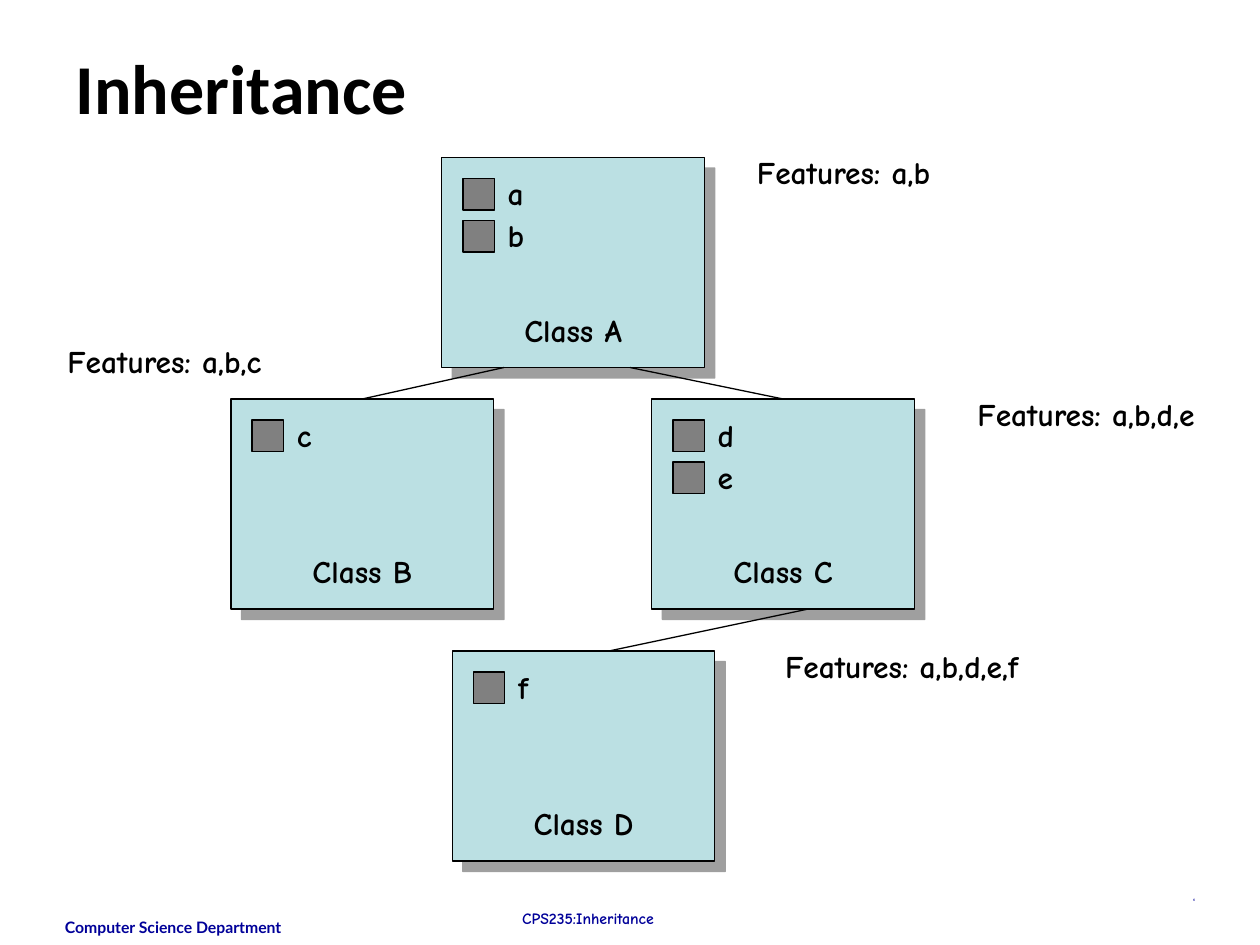
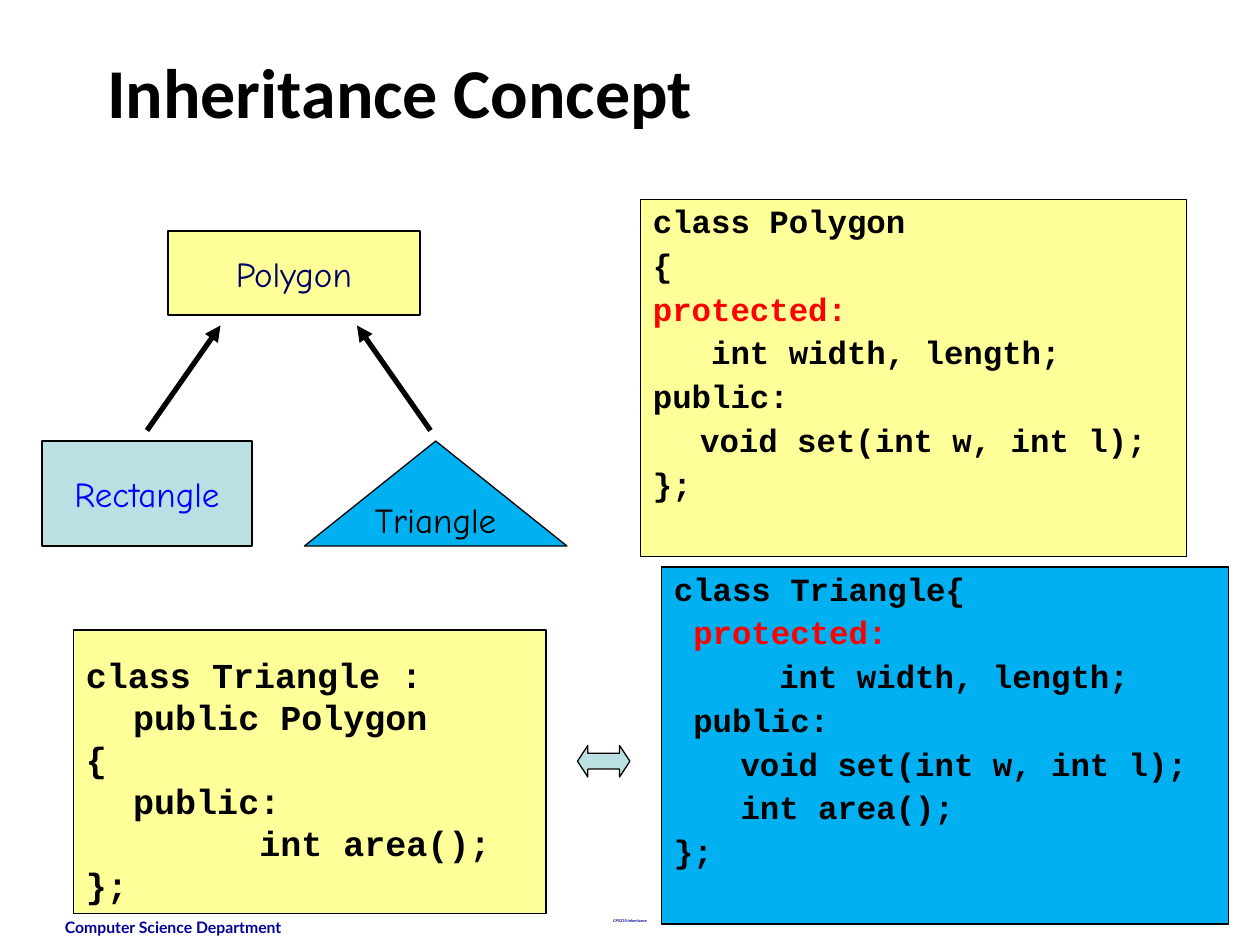
from lxml import etree
from pptx import Presentation
from pptx.dml.color import RGBColor
from pptx.enum import shapes, text
from pptx.oxml import ns
from pptx.util import Pt

# Shared colours and fonts
BLACK, RED, NAVY = "000000", "FF0000", "000099"
PALE_BLUE, SKY, YELLOW, GRAY = "BBE0E3", "00B0F0", "FFFF99", "808080"
HAND, CODE, HEADING, FOOTER = "Comic Neue", "Courier New", "Calibri", "Lato"
LEFT, CENTER, RIGHT = text.PP_ALIGN.LEFT, text.PP_ALIGN.CENTER, text.PP_ALIGN.RIGHT
RECT = shapes.MSO_SHAPE.RECTANGLE

# Class boxes: size and inner grid
BOX_W, BOX_H = 150, 120
PAD, SQUARE, STEP = 12, 18, 24


def rgb(value):
    return RGBColor.from_string(value)


def pts(*lengths):
    return [Pt(n) for n in lengths]


def sub(parent, tag, **attrs):
    return etree.SubElement(parent, ns.qn(tag), attrs)


def write(p, words, size=18, font=HAND, color=BLACK, bold=False, align=LEFT, spacing=None):
    """Put one formatted run into a paragraph."""
    p.alignment = align
    if spacing:
        p.line_spacing = spacing
    r = p.add_run()
    r.text = words
    r.font.size, r.font.name, r.font.bold = Pt(size), font, bold
    r.font.color.rgb = rgb(color)


def add_text(slide, words, x, y, w, h, wrap=True, **fmt):
    tf = slide.shapes.add_textbox(*pts(x, y, w, h)).text_frame
    tf.word_wrap = wrap
    write(tf.paragraphs[0], words, **fmt)


def add_label(slide, words, x, y, w, align=LEFT):
    add_text(slide, words, x, y, w, 29, wrap=False, bold=True, align=align)


def add_title(slide, words, x, y, w, h):
    title = slide.shapes.title
    title.left, title.top, title.width, title.height = pts(x, y, w, h)
    tf = title.text_frame
    tf.auto_size = text.MSO_AUTO_SIZE.NONE
    tf.vertical_anchor = text.MSO_ANCHOR.TOP
    write(tf.paragraphs[0], words, size=40, font=HEADING, bold=True)


def add_footer(slide, x, y, **fmt):
    add_text(slide, "Computer Science Department", 30, 521, 168, 19,
             size=9, font=FOOTER, color=NAVY, bold=True)
    add_text(slide, "CPS235:Inheritance", x, y, 228, 7.2,
             color=NAVY, bold=True, align=CENTER, **fmt)


def add_box(slide, kind, x, y, w, h, fill):
    sp = slide.shapes.add_shape(kind, *pts(x, y, w, h))
    sp.shadow.inherit = False
    sp.fill.solid()
    sp.fill.fore_color.rgb = rgb(fill)
    sp.line.color.rgb = rgb(BLACK)
    sp.line.width = Pt(0.75)
    return sp


def add_named_shape(slide, kind, name, x, y, w, h, fill, color):
    tf = add_box(slide, kind, x, y, w, h, fill).text_frame
    tf.word_wrap = False
    tf.vertical_anchor = text.MSO_ANCHOR.MIDDLE
    write(tf.paragraphs[0], name, size=20, color=color, align=CENTER)


def drop_shadow(sp):
    effects = sp._element.spPr.find(ns.qn("a:effectLst"))
    shadow = sub(effects, "a:outerShdw", dist=str(Pt(8.5)), dir="2700000",
                 algn="ctr", rotWithShape="0")
    color = sub(shadow, "a:srgbClr", val=GRAY)
    sub(color, "a:alpha", val="75000")


def add_line(slide, x1, y1, x2, y2, width=0.75, head=False):
    line = slide.shapes.add_connector(shapes.MSO_CONNECTOR.STRAIGHT, *pts(x1, y1, x2, y2))
    line.line.color.rgb = rgb(BLACK)
    line.line.width = Pt(width)
    if head:
        sub(line.line._get_or_add_ln(), "a:headEnd", type="triangle")
    sub(line._element.spPr, "a:effectLst")
    return line


def add_class(slide, name, features, x, y):
    """Shadowed class box with one marker per own feature."""
    sp = add_box(slide, RECT, x, y, BOX_W, BOX_H, PALE_BLUE)
    drop_shadow(sp)
    for i, feature in enumerate(features):
        top = y + PAD + i * STEP
        add_box(slide, RECT, x + PAD, top, SQUARE, SQUARE, GRAY)
        add_label(slide, feature, x + PAD + SQUARE + 0.5, top - 6, 24)
    add_label(slide, f"Class {name}", x + 15, y + 84, BOX_W - 30, align=CENTER)
    return sp


def add_code(slide, code, x, y, w, h, fill, size=18.5, spacing=0.9, before=5, top=3.6):
    tf = add_box(slide, RECT, x, y, w, h, fill).text_frame
    tf.word_wrap = True
    tf.vertical_anchor = text.MSO_ANCHOR.TOP
    tf.margin_top = Pt(top)
    for i, row in enumerate(code):
        p = tf.add_paragraph() if i else tf.paragraphs[0]
        pPr = p._p.get_or_add_pPr()
        pPr.set("marL", str(Pt(27)))
        pPr.set("indent", str(Pt(-27)))
        tabs = sub(pPr, "a:tabLst")
        for inch in range(8):
            sub(tabs, "a:tab", pos=str(Pt(72 * inch)), algn="l")
        if i:
            p.space_before = Pt(before)
        color = RED if row.strip() == "protected:" else BLACK
        write(p, row, size=size, font=CODE, color=color, bold=True, spacing=spacing)


def build_hierarchy(slide):
    add_footer(slide, 222, 516, size=9)
    add_text(slide, "6", 522, 510, 168, 7.2, size=2.2, color=NAVY, bold=True,
             align=RIGHT, spacing=0.8)
    add_title(slide, "Inheritance", 36, 21.6, 648, 90)

    # Classes with their own features
    add_class(slide, "A", "ab", 252.5, 90)
    class_b = add_class(slide, "B", "c", 132, 228)
    class_c = add_class(slide, "C", "de", 372.5, 228)
    add_class(slide, "D", "f", 258.5, 372)

    # All features, inherited ones included
    for features, x, y, w in [("a,b", 425.5, 84, 114), ("a,b,c", 31.5, 192, 127),
                              ("a,b,d,e", 551.5, 222, 139), ("a,b,d,e,f", 441.5, 366, 148)]:
        add_label(slide, f"Features: {features}", x, y, w)

    # Inheritance lines
    add_line(slide, 288, 210, 204, 228).end_connect(class_b, 0)
    add_line(slide, 360, 210, 444, 228).end_connect(class_c, 0)
    add_line(slide, 462, 348, 348, 372)


def build_concept(slide):
    add_footer(slide, 246, 522, size=2.2, font=FOOTER, spacing=0.8)
    add_title(slide, "Inheritance Concept", 54, 24, 612, 54)

    # Polygon family
    add_named_shape(slide, RECT, "Rectangle", 24, 252, 120, 60, PALE_BLUE, "0000FF")
    add_named_shape(slide, shapes.MSO_SHAPE.ISOSCELES_TRIANGLE, "Triangle",
                    174, 252, 150, 60, SKY, BLACK)
    add_named_shape(slide, RECT, "Polygon", 96, 132, 144, 48, YELLOW, "000066")
    add_line(slide, 126, 186, 84, 246, width=3, head=True)
    add_line(slide, 204, 186, 246, 246, width=3, head=True)

    # Base class, derived class and its equivalent
    add_code(slide, ["class Polygon", "{", "protected:", "   int width, length;",
                     "public:", "\tvoid set(int w, int l);", "};"],
             366, 114, 312, 204, YELLOW)
    add_code(slide, ["class Triangle : public Polygon", "{", "\tpublic:",
                     "\t      int area();", "};"],
             42, 360, 270, 162, YELLOW, size=20, spacing=None, before=0, top=13.5)
    arrow = add_box(slide, shapes.MSO_SHAPE.LEFT_RIGHT_ARROW, 330, 426, 30, 18, PALE_BLUE)
    arrow.adjustments[1] = 0.33
    add_code(slide, ["class Triangle{", " protected:", "\t   int width, length;",
                     " public:", "\t void set(int w, int l);", "\t int area();", "};"],
             378, 324, 324, 204, SKY)


def main():
    prs = Presentation()
    prs.slide_width, prs.slide_height = pts(720, 540)
    title_only = prs.slide_layouts[5]
    for build in (build_hierarchy, build_concept):
        build(prs.slides.add_slide(title_only))
    prs.save("out.pptx")


if __name__ == "__main__":
    main()
